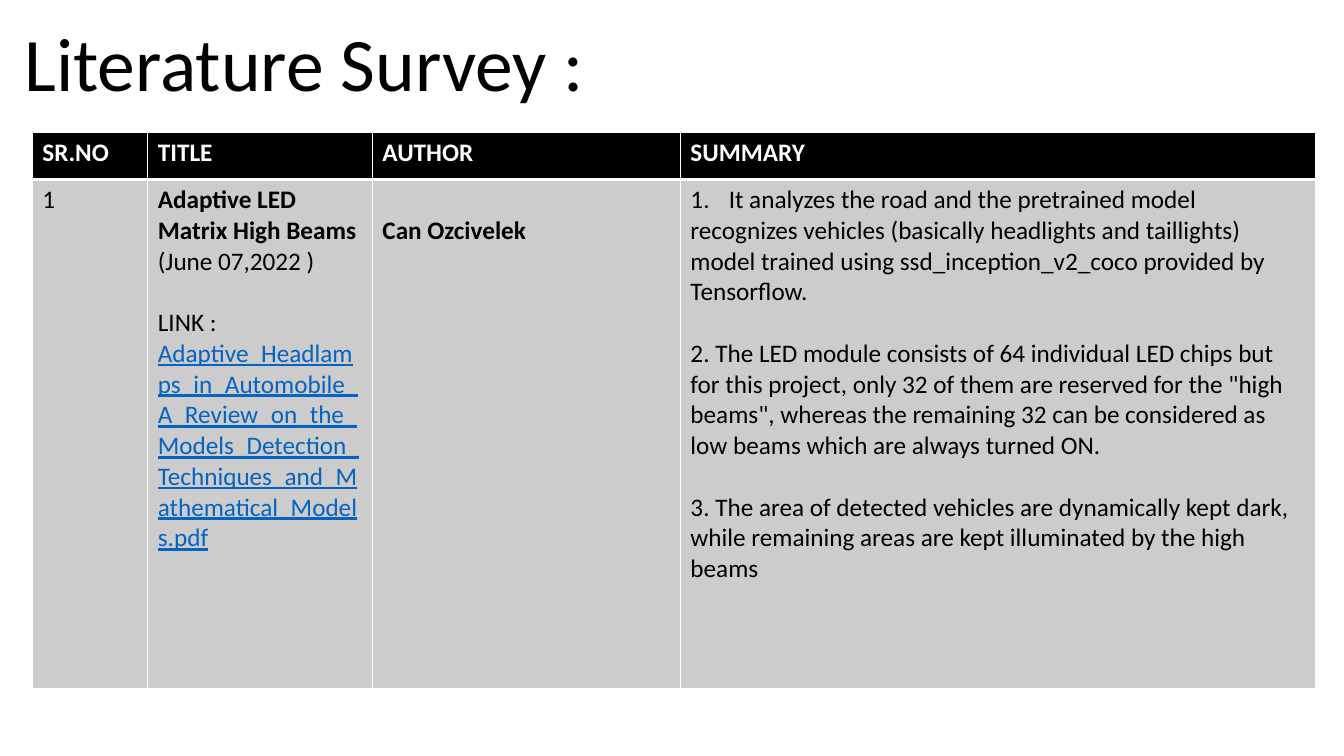
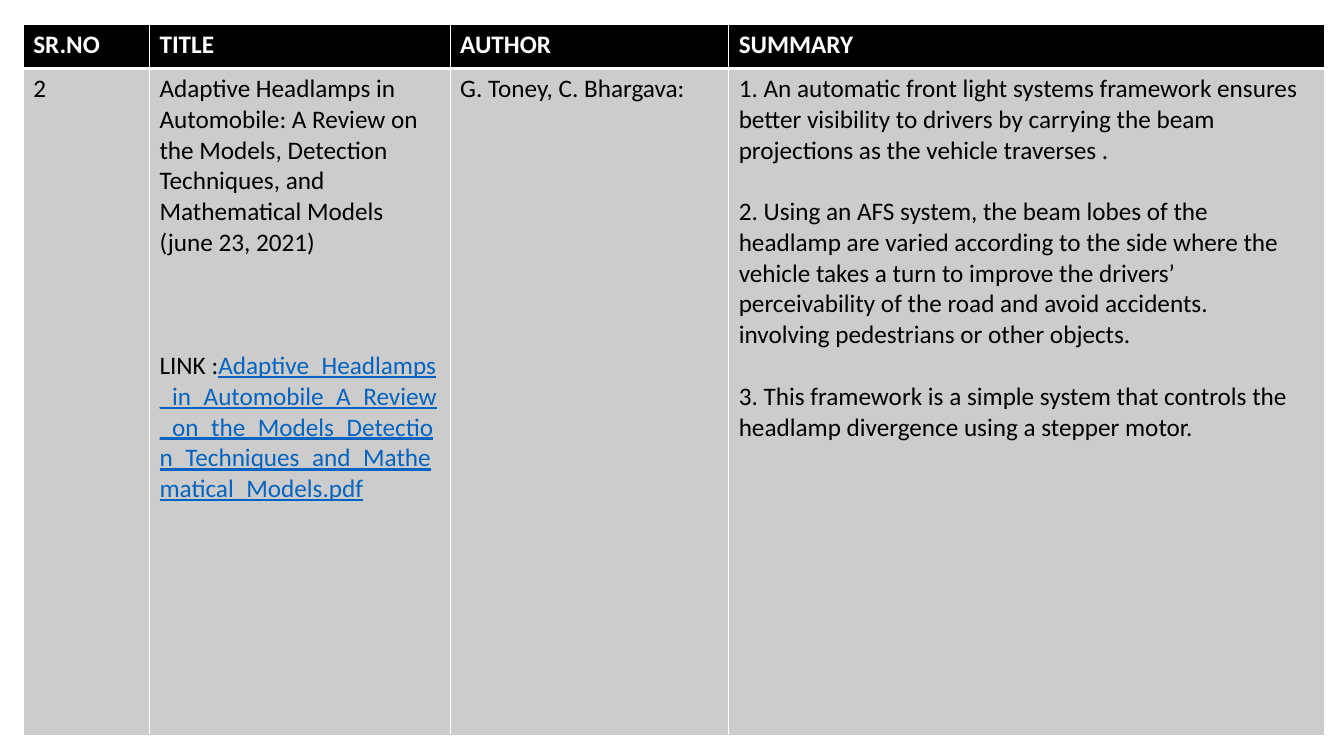
"""Build two literature survey slides, each with one table of a reviewed work."""
from dataclasses import dataclass

from lxml.etree import SubElement as Sub
from pptx import Presentation
from pptx.dml.color import RGBColor as RGB
from pptx.enum.text import MSO_AUTO_SIZE as AutoSize, PP_ALIGN as Align
from pptx.oxml import parse_xml
from pptx.oxml.ns import nsdecls, qn
from pptx.util import Inches, Pt


@dataclass(frozen=True)
class Theme:
    font: str = "Calibri"
    title: int = 54
    body: int = 18
    line: int = 22
    thin: int = 1
    thick: int = 3
    indent: float = 0.38
    ink: str = "000000"
    paper: str = "FFFFFF"
    panel: str = "CCCCCC"
    link: str = "0563C1"


@dataclass(frozen=True)
class Run:
    text: str
    bold: bool = False
    link: bool = False


@dataclass(frozen=True)
class Para:
    runs: tuple
    gap: int = 0
    numbered: bool = False


T = Theme()
W, H = Inches(13.33), Inches(7.5)
HEADINGS = ("SR.NO", "TITLE", "AUTHOR", "SUMMARY")
PDF = Run("Adaptive_Headlamps_in_Automobile_A_Review_on_the_Models_Detection_"
          "Techniques_and_Mathematical_Models.pdf", link=True)


def para(text, gap=0, bold=False, numbered=False):
    return Para((Run(text, bold),), gap, numbered)


def across(percent):
    return round(W * percent / 100)


def down(percent):
    return round(H * percent / 100)


def add_run(p, run, size, color):
    r = p.add_run()
    r.text = run.text
    r.font.name, r.font.size, r.font.bold = T.font, Pt(size), run.bold
    r.font.underline = run.link
    r.font.color.rgb = RGB.from_string(T.link if run.link else color)


def add_number(p):
    pPr = p._p.get_or_add_pPr()
    pPr.set("marL", str(Inches(T.indent)))
    pPr.set("indent", str(-Inches(T.indent)))
    Sub(pPr, qn("a:buFont"), typeface="+mj-lt")
    Sub(pPr, qn("a:buAutoNum"), type="arabicPeriod")


def add_borders(cell, top, bottom):
    tcPr = cell._tc.get_or_add_tcPr()
    sides = (("L", T.thin), ("R", T.thin), ("T", top), ("B", bottom))
    for i, (side, width) in enumerate(sides):
        tcPr.insert(i, parse_xml(
            f'<a:ln{side} {nsdecls("a")} w="{Pt(width)}"><a:solidFill>'
            f'<a:srgbClr val="{T.paper}"/></a:solidFill></a:ln{side}>'))


def fill_cell(cell, paras, fill, color, top=T.thin, bottom=T.thin):
    cell.fill.solid()
    cell.fill.fore_color.rgb = RGB.from_string(fill)
    add_borders(cell, top, bottom)
    tf = cell.text_frame
    for i, item in enumerate(paras):
        p = tf.add_paragraph() if i else tf.paragraphs[0]
        space = Pt(T.line * item.gap)
        if i and space:
            p.space_before = space
        elif space:
            cell.margin_top += space
        if item.numbered:
            add_number(p)
        for run in item.runs:
            add_run(p, run, T.body, color)


def add_title(s, text):
    sp = s.shapes.add_textbox(across(0.83), down(1.47), across(43.66), down(13.47))
    tf = sp.text_frame
    tf.word_wrap, tf.auto_size = False, AutoSize.SHAPE_TO_FIT_TEXT
    p = tf.paragraphs[0]
    p.alignment = Align.CENTER
    add_run(p, Run(text), T.title, T.ink)


def add_survey(s, left, top, width, columns, rows, entry):
    tbl = s.shapes.add_table(2, len(columns), across(left), down(top),
                             across(width), down(sum(rows))).table
    tbl.horz_banding = False
    for row, share in zip(tbl.rows, rows):
        row.height = down(share)
    for i, (share, heading, paras) in enumerate(zip(columns, HEADINGS, entry)):
        tbl.columns[i].width = across(width * share / 100)
        fill_cell(tbl.cell(0, i), [para(heading, bold=True)], T.ink, T.paper,
                  bottom=T.thick)
        fill_cell(tbl.cell(1, i), paras, T.panel, T.ink, top=T.thick)


MATRIX_BEAMS = (
    [para("1")],
    [para("Adaptive LED Matrix High Beams", bold=True),
     para("(June 07,2022 )"),
     para("LINK :", gap=1),
     Para((PDF,))],
    [para("Can Ozcivelek", gap=1, bold=True)],
    [para("It analyzes the road and the pretrained model", numbered=True),
     para("recognizes vehicles (basically headlights and taillights)"),
     para("model trained using ssd_inception_v2_coco provided by Tensorflow."),
     para("2. The LED module consists of 64 individual LED chips but for this "
          "project, only 32 of them are reserved for the \"high beams\", whereas "
          "the remaining 32 can be considered as low beams which are always "
          "turned ON.", gap=1),
     para("3. The area of detected vehicles are dynamically kept dark, while "
          "remaining areas are kept illuminated by the high beams", gap=1)],
)

HEADLAMP_REVIEW = (
    [para("2")],
    [para("Adaptive Headlamps in Automobile: A Review on the Models, Detection "
          "Techniques, and Mathematical Models"),
     para("(june 23, 2021)"),
     Para((Run("LINK :"), PDF), gap=3)],
    [para("G. Toney, C. Bhargava:")],
    [para("1. An automatic front light systems framework ensures better "
          "visibility to drivers by carrying the beam projections as the vehicle "
          "traverses ."),
     para("2. Using an AFS system, the beam lobes of the headlamp are varied "
          "according to the side where the vehicle takes a turn to improve the "
          "drivers’ perceivability of the road and avoid accidents.", gap=1),
     para("involving pedestrians or other objects."),
     para("3. This framework is a simple system that controls the headlamp "
          "divergence using a stepper motor.", gap=1)],
)


def main():
    prs = Presentation()
    prs.slide_width, prs.slide_height = W, H
    blank = prs.slide_layouts[6]

    s = prs.slides.add_slide(blank)
    add_title(s, "Literature Survey :")
    add_survey(s, 2.4, 17.47, 95.5, (9, 17.5, 24, 49.5), (6.27, 67.33),
               MATRIX_BEAMS)

    s = prs.slides.add_slide(blank)
    add_survey(s, 1.73, 3.2, 96.85, (9.7, 23.1, 21.4, 45.8), (5.87, 88.27),
               HEADLAMP_REVIEW)

    prs.save("out.pptx")


if __name__ == "__main__":
    main()
